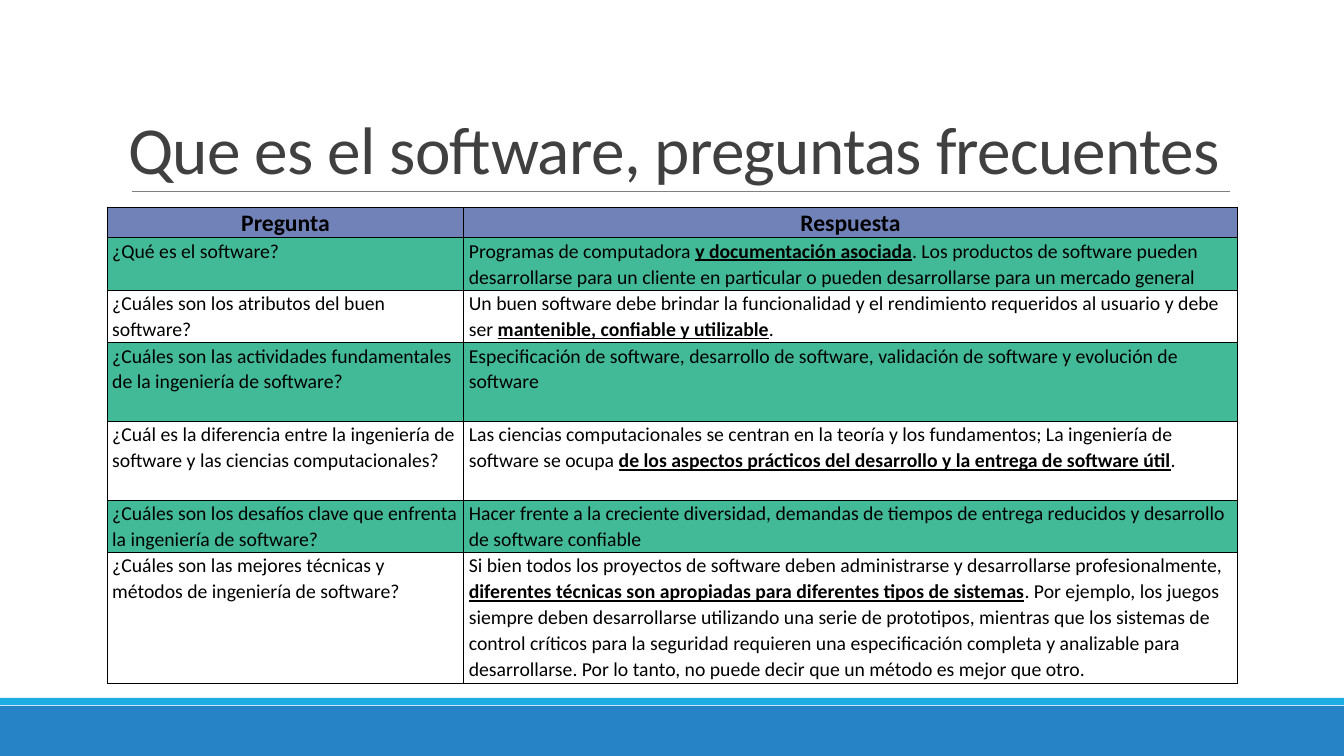
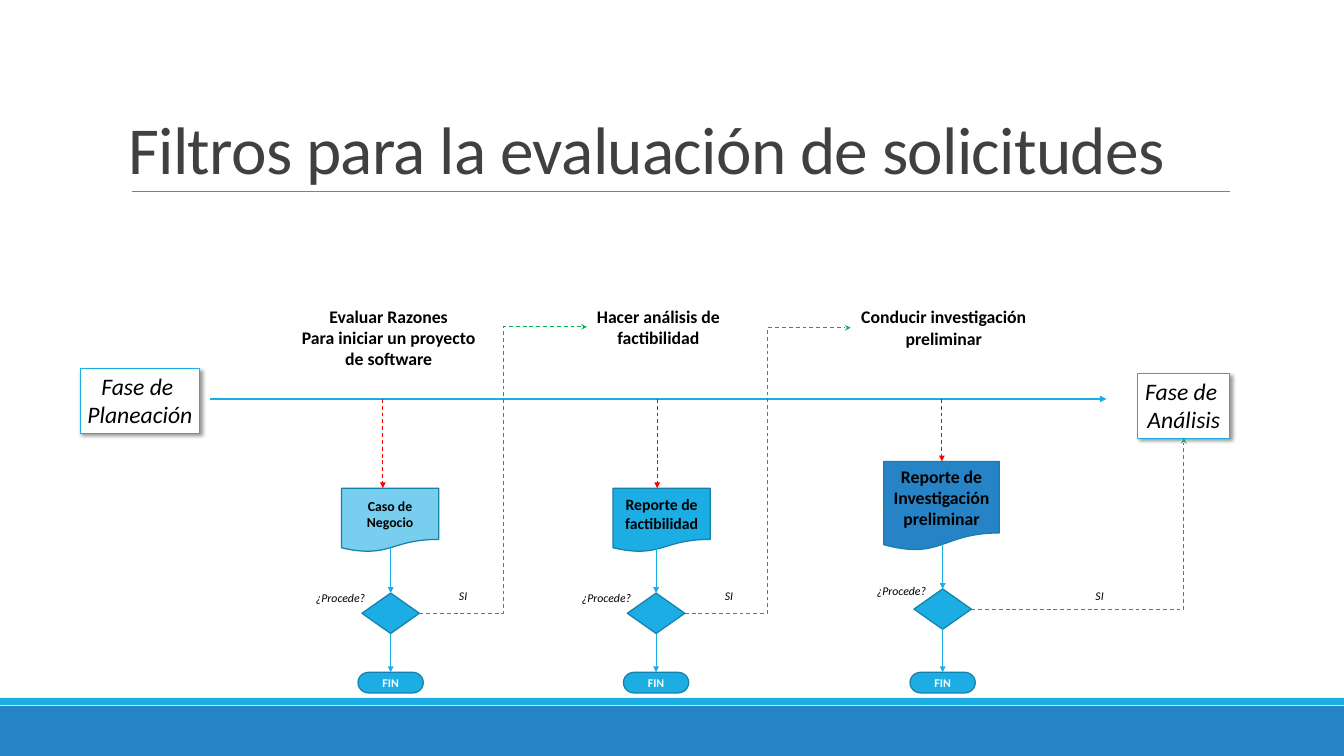
from pptx import Presentation
from pptx import util as u
from pptx.dml.color import RGBColor
from pptx.enum import dml, shapes, text
from pptx.oxml import parse_xml
from pptx.oxml.ns import nsdecls, qn

COLORS = {
    "band": "2683C6", "accent": "1CADE4", "pale": "77CEEF", "outline": "1580A9",
    "rule": "808080", "title": "404040", "ink": "000000", "paper": "FFFFFF",
    "header": "7182B8", "stripe": "42BA97", "stop": "FF0000", "go": "00B050",
}
FONT = "Calibri"
CENTER = text.PP_ALIGN.CENTER
LEFT = text.PP_ALIGN.LEFT
TOP = text.MSO_ANCHOR.TOP
MIDDLE = text.MSO_ANCHOR.MIDDLE
PRESET = shapes.MSO_SHAPE
WIDTH, HEIGHT = 48.16, 27.1
ROW_LINE = 0.94


def rgb(color):
    return RGBColor.from_string(COLORS[color])


def write(frame, content, size=18, color="ink", bold=False, italic=False,
          align=CENTER, anchor=TOP, wrap=True, spacing=None, after=None):
    frame.word_wrap = wrap
    frame.vertical_anchor = anchor
    for number, line in enumerate(content.split("\n")):
        paragraph = frame.add_paragraph() if number else frame.paragraphs[0]
        paragraph.alignment = align
        if spacing:
            paragraph.line_spacing = spacing
        if after:
            paragraph.space_after = u.Pt(after)
        for index, piece in enumerate(line.split("*")):
            stressed = index % 2 == 1
            run = paragraph.add_run()
            run.text = piece
            run.font.name = FONT
            run.font.size = u.Pt(size)
            run.font.color.rgb = rgb(color)
            run.font.bold = bold or stressed
            run.font.italic = italic
            run.font.underline = stressed


class Deck:
    def __init__(self):
        self.prs = Presentation()
        self.prs.slide_width = u.Cm(WIDTH)
        self.prs.slide_height = u.Cm(HEIGHT)
        self.layout = self.prs.slide_layouts[5]
        self.slide = None

    def add_slide(self, heading):
        first = self.slide is None
        self.slide = self.prs.slides.add_slide(self.layout)
        if first:
            self.decorate_layout()
        title = self.slide.shapes.title
        title.left, title.top = u.Cm(4.34), u.Cm(1.14)
        title.width, title.height = u.Cm(39.73), u.Cm(5.74)
        title.text_frame.auto_size = text.MSO_AUTO_SIZE.NONE
        write(title.text_frame, heading, size=68.3, color="title", align=LEFT,
              anchor=text.MSO_ANCHOR.BOTTOM, spacing=0.85)
        for properties in title.element.iter(qn("a:rPr")):
            properties.set("spc", "-70")

    def decorate_layout(self):
        footer = self.shape(PRESET.RECTANGLE, 0, 25.3, WIDTH, 1.8, "band")
        stripe = self.shape(PRESET.RECTANGLE, 0, 25.02, WIDTH, 0.26, "accent")
        rule = self.line((4.72, 6.86), (44.09, 6.86), "rule", 0.5, head=None)
        for number, part in enumerate((footer, stripe, rule), 20):
            part.element.xpath(".//p:cNvPr")[0].set("id", str(number))
            self.layout.shapes.element.append(part.element)

    def shape(self, preset, left, top, width, height, fill,
              outline=None, weight=1.25, label=None, **style):
        shape = self.slide.shapes.add_shape(
            preset, u.Cm(left), u.Cm(top), u.Cm(width), u.Cm(height))
        shape.shadow.inherit = False
        shape.fill.solid()
        shape.fill.fore_color.rgb = rgb(fill)
        if outline:
            shape.line.color.rgb = rgb(outline)
            shape.line.width = u.Pt(weight)
        else:
            shape.line.fill.background()
        if label:
            write(shape.text_frame, label, **style)
        return shape

    def phase(self, label, left, top, width):
        box = self.shape(PRESET.RECTANGLE, left, top, width, 2.31, "paper", "accent",
                         0.75, label, size=24, italic=True, wrap=False)
        box.element.spPr.find(qn("a:effectLst")).append(parse_xml(
            f'<a:outerShdw {nsdecls("a")} blurRad="{u.Pt(4)}" dist="{u.Pt(3)}" '
            f'dir="2700000" algn="tl" rotWithShape="0"><a:srgbClr val="{COLORS["ink"]}">'
            '<a:alpha val="40000"/></a:srgbClr></a:outerShdw>'))
        return box

    def label(self, content, left, top, width, height, **style):
        box = self.slide.shapes.add_textbox(
            u.Cm(left), u.Cm(top), u.Cm(width), u.Cm(height))
        write(box.text_frame, content, **style)
        box.text_frame.auto_size = text.MSO_AUTO_SIZE.SHAPE_TO_FIT_TEXT
        return box

    def line(self, start, end, color="accent", weight=1, dashed=False,
             head="triangle", bend=None):
        kind = shapes.MSO_CONNECTOR.ELBOW if bend else shapes.MSO_CONNECTOR.STRAIGHT
        line = self.slide.shapes.add_connector(kind, 0, 0, 0, 0)
        if isinstance(start[0], (int, float)):
            line.begin_x, line.begin_y = (u.Cm(value) for value in start)
        else:
            line.begin_connect(*start)
        if isinstance(end[0], (int, float)):
            line.end_x, line.end_y = (u.Cm(value) for value in end)
        else:
            line.end_connect(*end)
        line.line.color.rgb = rgb(color)
        line.line.width = u.Pt(weight)
        if dashed:
            line.line.dash_style = dml.MSO_LINE.DASH
        properties = line.element.spPr
        if bend:
            properties.find(qn("a:prstGeom")).set("prst", bend)
        if head:
            properties.find(qn("a:ln")).append(
                parse_xml(f'<a:tailEnd {nsdecls("a")} type="{head}"/>'))
        properties.append(parse_xml(f'<a:effectLst {nsdecls("a")}/>'))
        return line

    def table(self, left, top, widths, heights, rows):
        table = self.slide.shapes.add_table(
            len(rows), len(widths), u.Cm(left), u.Cm(top),
            u.Cm(sum(widths)), u.Cm(sum(heights))).table
        table.first_row = table.horz_banding = False
        for column, width in zip(table.columns, widths):
            column.width = u.Cm(width)
        for number, (row, height, contents) in enumerate(zip(table.rows, heights, rows)):
            row.height = u.Cm(height)
            for cell, content in zip(row.cells, contents):
                self.cell(cell, content, number)

    def cell(self, cell, content, number):
        header = number == 0
        cell.margin_left = cell.margin_right = u.Cm(0.18)
        cell.margin_top = cell.margin_bottom = 0
        write(cell.text_frame, content, size=24 if header else 20, bold=header,
              align=CENTER if header else LEFT, spacing=1.07, after=8)
        properties = cell.text_frame._txBody.getparent().get_or_add_tcPr()
        for side in "LRTB":
            properties.append(parse_xml(
                f'<a:ln{side} {nsdecls("a")} w="{u.Pt(1)}"><a:solidFill>'
                f'<a:srgbClr val="{COLORS["ink"]}"/></a:solidFill></a:ln{side}>'))
        if header or number % 2:
            cell.fill.solid()
            cell.fill.fore_color.rgb = rgb("header" if header else "stripe")
        else:
            cell.fill.background()


FAQ = [
    ("Pregunta", "Respuesta"),
    ("¿Qué es el software?",
     "Programas de computadora *y documentación asociada*. Los productos de software "
     "pueden desarrollarse para un cliente en particular o pueden desarrollarse para "
     "un mercado general"),
    ("¿Cuáles son los atributos del buen software?",
     "Un buen software debe brindar la funcionalidad y el rendimiento requeridos al "
     "usuario y debe ser *mantenible, confiable y utilizable*."),
    ("¿Cuáles son las actividades fundamentales de la ingeniería de software?",
     "Especificación de software, desarrollo de software, validación de software y "
     "evolución de software"),
    ("¿Cuál es la diferencia entre la ingeniería de software y las ciencias "
     "computacionales?",
     "Las ciencias computacionales se centran en la teoría y los fundamentos; La "
     "ingeniería de software se ocupa *de los aspectos prácticos del desarrollo y la "
     "entrega de software útil*."),
    ("¿Cuáles son los desafíos clave que enfrenta la ingeniería de software?",
     "Hacer frente a la creciente diversidad, demandas de tiempos de entrega reducidos "
     "y desarrollo de software confiable"),
    ("¿Cuáles son las mejores técnicas y métodos de ingeniería de software?",
     "Si bien todos los proyectos de software deben administrarse y desarrollarse "
     "profesionalmente, *diferentes técnicas son apropiadas para diferentes tipos de "
     "sistemas*. Por ejemplo, los juegos siempre deben desarrollarse utilizando una "
     "serie de prototipos, mientras que los sistemas de control críticos para la "
     "seguridad requieren una especificación completa y analizable para desarrollarse. "
     "Por lo tanto, no puede decir que un método es mejor que otro."),
]
FAQ_LINES = [2, 2, 3, 3, 2, 5]

TASKS = [
    ("Evaluar Razones\nPara iniciar un proyecto\nde software", 10.54, 10.82, 6.78, 2.57, False),
    ("Hacer análisis de factibilidad", 21.03, 10.82, 5.13, 1.8, True),
    ("Conducir investigación preliminar", 30.48, 10.85, 6.68, 1.8, True),
]
REPORTS = [
    ("Caso de Negocio", 14, "pale", (12.24, 17.5, 3.48, 2.29), 13.72),
    ("Reporte de factibilidad", 16, "accent", (21.97, 17.5, 3.48, 2.29), 23.55),
    ("Reporte de Investigación preliminar", 18, "band", (31.67, 16.54, 4.14, 3.2), 33.75),
]
DECISIONS = [
    (14, 21.26, (11.07, 21.06), 15.77),
    (23.51, 21.26, (20.6, 21.06), 25.3),
    (33.78, 21.11, (31.17, 20.8), 38.58),
]


def faq_slide(deck):
    deck.add_slide("Que es el software, preguntas frecuentes")
    heights = [1.09] + [ROW_LINE * lines for lines in FAQ_LINES]
    deck.table(3.84, 7.42, (12.78, 27.71), heights, FAQ)


def filters_slide(deck):
    deck.add_slide("Filtros para la evaluación de solicitudes")
    axis = 14.3
    deck.line((7.54, axis), (39.65, axis), weight=2.25)
    tasks = [deck.label(content, *place, bold=True, wrap=wrap)
             for content, *place, wrap in TASKS]
    analysis = deck.phase("Fase de \nAnálisis", 40.77, 13.39, 3.3)
    deck.phase("Fase de \nPlaneación", 2.87, 13.21, 4.29)
    targets = [(tasks[1], 1, "bentConnector3"), (tasks[2], 1, "bentConnector3"),
               (analysis, 2, "bentConnector2")]
    for report, decision, target in zip(REPORTS, DECISIONS, targets):
        name, size, fill, place, drop = report
        center, top, question, yes = decision
        goal, side, bend = target
        deck.shape(PRESET.FLOWCHART_DOCUMENT, *place, fill, "outline",
                   label=name, size=size, bold=True, anchor=MIDDLE)
        deck.line((drop, axis), (drop, place[1]), "stop", dashed=True)
        choice = deck.shape(PRESET.FLOWCHART_DECISION, center - 1.03, top, 2.06, 1.45,
                            "accent", "outline")
        finish = deck.shape(PRESET.FLOWCHART_TERMINATOR, center - 1.17, 24.1, 2.34, 0.74,
                            "accent", "outline", label="FIN", size=12, color="paper",
                            bold=True, anchor=MIDDLE)
        deck.line((choice, 3), (goal, side), "go", dashed=True, head="stealth", bend=bend)
        deck.line((center, place[1] + 0.93 * place[3]), (choice, 0))
        deck.line((choice, 2), (finish, 0))
        deck.label("¿Procede?", *question, 2.64, 0.76, size=12, italic=True, align=LEFT)
        deck.label("SI", yes, 20.97, 1.65, 0.76, size=12, italic=True)


def main():
    deck = Deck()
    faq_slide(deck)
    filters_slide(deck)
    deck.prs.save("out.pptx")


if __name__ == "__main__":
    main()
